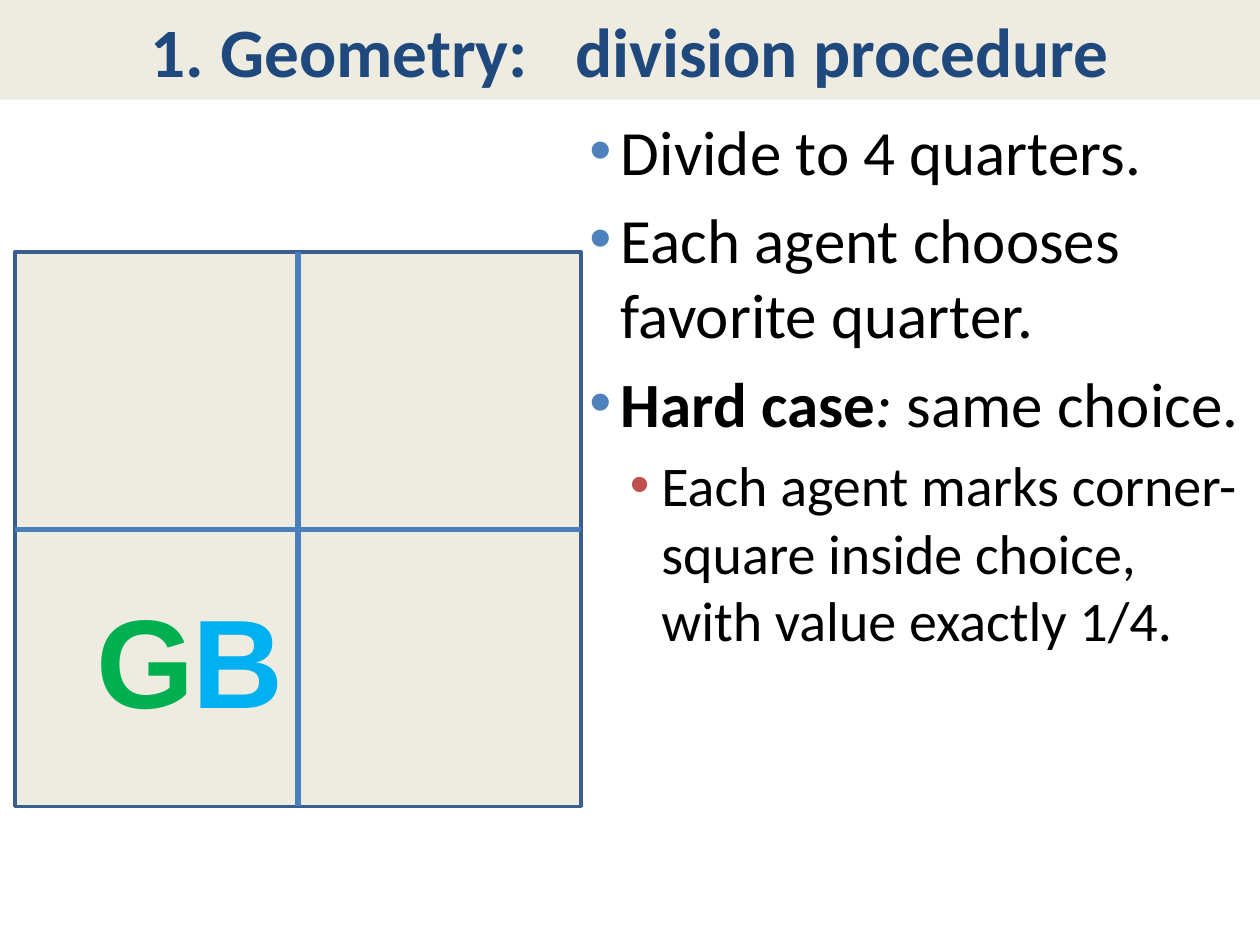
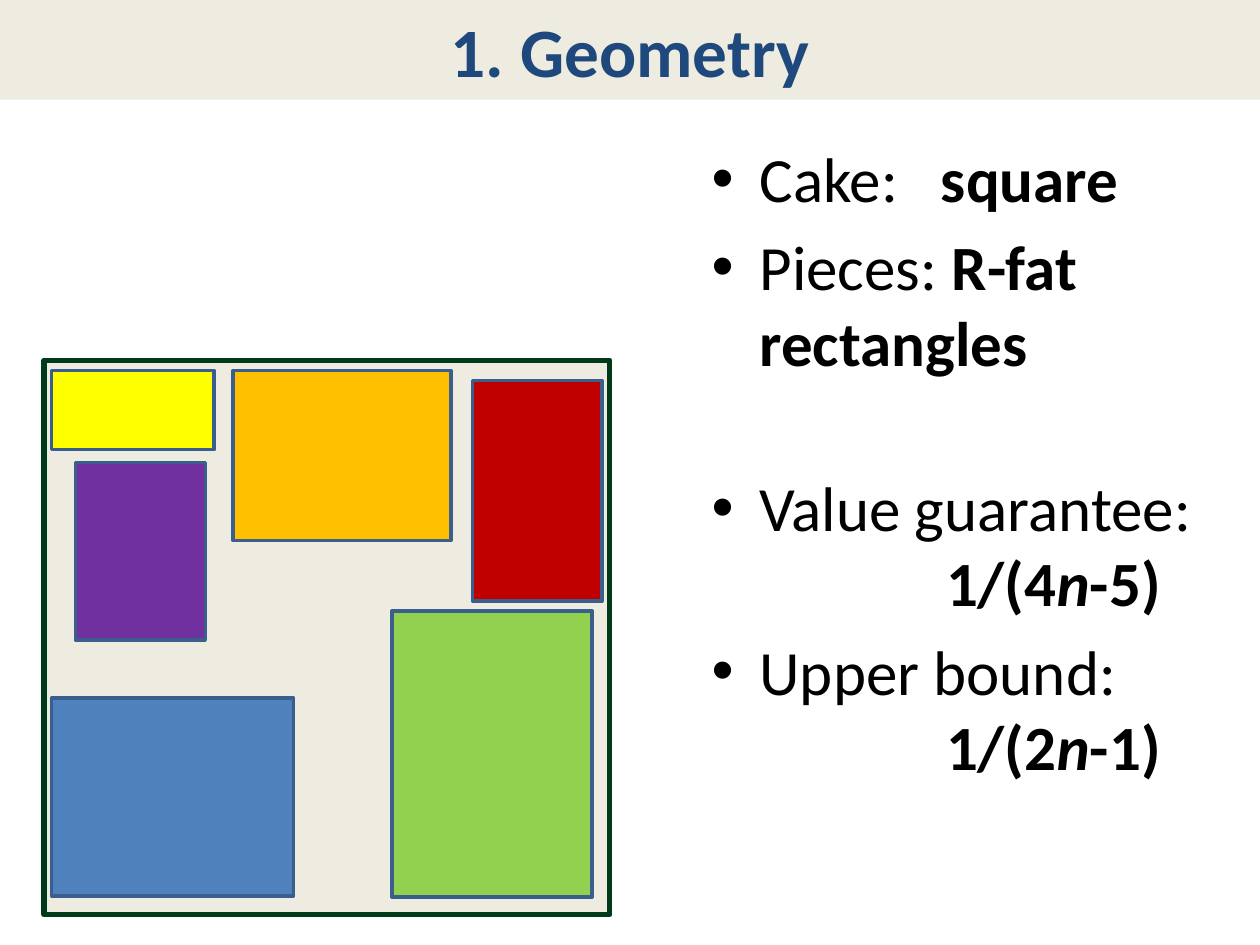
from lxml.etree import SubElement
from pptx import Presentation
from pptx.dml.color import RGBColor
from pptx.enum.shapes import MSO_CONNECTOR, MSO_SHAPE
from pptx.enum.text import MSO_ANCHOR, MSO_AUTO_SIZE, PP_ALIGN
from pptx.oxml.ns import qn
from pptx.util import Inches, Pt

COLORS = {
    "band": "EEECE1", "title": "1F497D", "text": "000000",
    "edge": "3A5F8C", "divider": "4B7EBC", "cake_edge": "003A1A",
    "bullet": "4F81BD", "sub_bullet": "C0504D",
    "green_agent": "00B050", "blue_agent": "00B0F0",
    "yellow": "FFFF00", "lime": "92D050", "blue": "4F81BD",
    "red": "C00000", "orange": "FFC000", "purple": "7030A0",
}
TITLE_FONT = {"name": "Calibri", "size": Pt(39.6), "bold": True}
AGENT_FONT = {"name": "Arial", "size": Pt(72), "bold": True}
BOLD = {"bold": True}
ITALIC = {"italic": True}
BOLD_ITALIC = {"bold": True, "italic": True}
CAKE_SIZE = (4.49, 4.4)
FORMULA_TAB = 1.86
BREAK = "\n"


def color(name):
    return RGBColor.from_string(COLORS[name])


def set_font(font, values, color_name=None):
    for attribute, value in values.items():
        setattr(font, attribute, value)
    if color_name:
        font.color.rgb = color(color_name)


def add_runs(paragraph, runs):
    for text, values in runs:
        if text == BREAK:
            paragraph.add_line_break()
            continue
        run = paragraph.add_run()
        run.text = text
        values = dict(values)
        spacing = values.pop("spacing", None)
        set_font(run.font, values)
        if spacing:
            run.font._element.set("spc", str(int(spacing * 100)))


def add_title_slide(presentation, runs):
    slide = presentation.slides.add_slide(presentation.slide_layouts[5])
    title = slide.shapes.title
    title.left, title.top = Inches(0), Inches(0)
    title.width, title.height = presentation.slide_width, Inches(0.79)
    title.fill.solid()
    title.fill.fore_color.rgb = color("band")
    frame = title.text_frame
    frame.auto_size = MSO_AUTO_SIZE.NONE
    frame.vertical_anchor = MSO_ANCHOR.MIDDLE
    paragraph = frame.paragraphs[0]
    paragraph.alignment = PP_ALIGN.CENTER
    add_runs(paragraph, [(text, {**TITLE_FONT, **values}) for text, values in runs])
    for run in paragraph.runs:
        run.font.color.rgb = color("title")
    return slide


def add_rectangle(slide, left, top, width, height, fill, edge="edge", line_width=2):
    shape = slide.shapes.add_shape(
        MSO_SHAPE.RECTANGLE, *map(Inches, (left, top, width, height)))
    shape.shadow.inherit = False
    shape.fill.solid()
    shape.fill.fore_color.rgb = color(fill)
    shape.line.color.rgb = color(edge)
    shape.line.width = Pt(line_width)
    return shape


def add_divider(slide, square, begin_side, end_side):
    connector = slide.shapes.add_connector(MSO_CONNECTOR.STRAIGHT, 0, 0, 0, 0)
    connector.begin_connect(square, begin_side)
    connector.end_connect(square, end_side)
    connector.line.color.rgb = color("divider")
    connector.line.width = Pt(3)
    SubElement(connector._element.spPr, qn("a:effectLst"))


def add_agent(slide, letter, left, width, color_name):
    box = slide.shapes.add_textbox(*map(Inches, (left, 4.68, width, 1.25)))
    frame = box.text_frame
    frame.word_wrap = False
    frame.auto_size = MSO_AUTO_SIZE.SHAPE_TO_FIT_TEXT
    paragraph = frame.paragraphs[0]
    paragraph.line_spacing = 0.93
    run = paragraph.add_run()
    run.text = letter
    set_font(run.font, AGENT_FONT, color_name)


def set_bullet(paragraph, margin, hanging, color_name, tab=None):
    properties = paragraph._p.get_or_add_pPr()
    properties.set("marL", str(Inches(margin)))
    properties.set("indent", str(-Inches(hanging)))
    bullet_color = SubElement(properties, qn("a:buClr"))
    SubElement(bullet_color, qn("a:srgbClr"), val=COLORS[color_name])
    SubElement(properties, qn("a:buFont"), typeface="Arial")
    SubElement(properties, qn("a:buChar"), char="•")
    if tab:
        tabs = SubElement(properties, qn("a:tabLst"))
        SubElement(tabs, qn("a:tab"), pos=str(Inches(tab)), algn="l")


def add_bullets(slide, position, items):
    frame = slide.shapes.add_textbox(*map(Inches, position)).text_frame
    frame.word_wrap = True
    for index, item in enumerate(items):
        paragraph = frame.paragraphs[0] if index == 0 else frame.add_paragraph()
        size = item.get("size", 36)
        paragraph.level = item.get("level", 0)
        set_bullet(paragraph, item.get("margin", 0.38), item["hanging"],
                   item["bullet"], item.get("tab"))
        if index:
            paragraph.space_before = Pt(item.get("before", size * 0.2))
        set_font(paragraph.font, {"name": "Calibri", "size": Pt(size)}, "text")
        add_runs(paragraph, item["runs"])
        for run in paragraph.runs:
            set_font(run.font, {"name": "Calibri", "size": Pt(size)}, "text")


def build_division(presentation):
    slide = add_title_slide(presentation, [
        ("1. Geometry:", {}), (" ", {"spacing": 17.9}), ("division procedure", {})])
    square = add_rectangle(slide, 0.12, 2, *CAKE_SIZE, "band")
    add_divider(slide, square, 0, 2)
    add_divider(slide, square, 1, 3)
    add_agent(slide, "G", 0.67, 0.99, "green_agent")
    add_agent(slide, "B", 1.43, 0.93, "blue_agent")
    main = {"hanging": 0.25, "bullet": "bullet"}
    add_bullets(slide, (4.45, 0.84, 5.55, 5.99), [
        {**main, "runs": [("Divide to 4 quarters.", {})]},
        {**main, "runs": [("Each agent chooses favorite quarter.", {})]},
        {**main, "runs": [("Hard case", BOLD), (": ", ITALIC), ("same choice.", {})]},
        {"hanging": 0.25, "bullet": "sub_bullet", "margin": 0.7, "level": 1, "size": 32,
         "runs": [("Each agent marks corner-square inside choice, "
                   "with value exactly 1/4.", {})]},
    ])


def formula(label, factor, offset):
    return [(label, {}), (BREAK, {}), ("\t", {}), (f"1/({factor}", BOLD),
            ("n", BOLD_ITALIC), (f"-{offset})", BOLD)]


def build_geometry(presentation):
    slide = add_title_slide(presentation, [("1. Geometry", {})])
    main = {"hanging": 0.38, "bullet": "text"}
    add_bullets(slide, (5.55, 1.06, 4.45, 5.68), [
        {**main, "runs": [("Cake:", {}), (" ", {"spacing": 16.3}), ("square", BOLD)]},
        {**main, "runs": [("Pieces: ", {}), ("R-fat rectangles", BOLD)]},
        {**main, "before": 51, "tab": FORMULA_TAB,
         "runs": formula("Value guarantee:", 4, 5)},
        {**main, "tab": FORMULA_TAB, "runs": formula("Upper bound:", 2, 1)},
    ])
    add_rectangle(slide, 0.35, 2.86, *CAKE_SIZE, "band", "cake_edge", 3)
    pieces = [
        (0.41, 2.94, 1.29, 0.63, "yellow"),
        (3.11, 4.85, 1.59, 2.27, "lime"),
        (0.41, 5.54, 1.92, 1.57, "blue"),
        (3.75, 3.02, 1.03, 1.75, "red"),
        (1.85, 2.94, 1.73, 1.35, "orange"),
        (0.6, 3.67, 1.03, 1.41, "purple"),
    ]
    for piece in pieces:
        add_rectangle(slide, *piece)


def main():
    presentation = Presentation()
    presentation.slide_width, presentation.slide_height = Inches(10), Inches(7.5)
    build_division(presentation)
    build_geometry(presentation)
    presentation.save("out.pptx")


if __name__ == "__main__":
    main()
